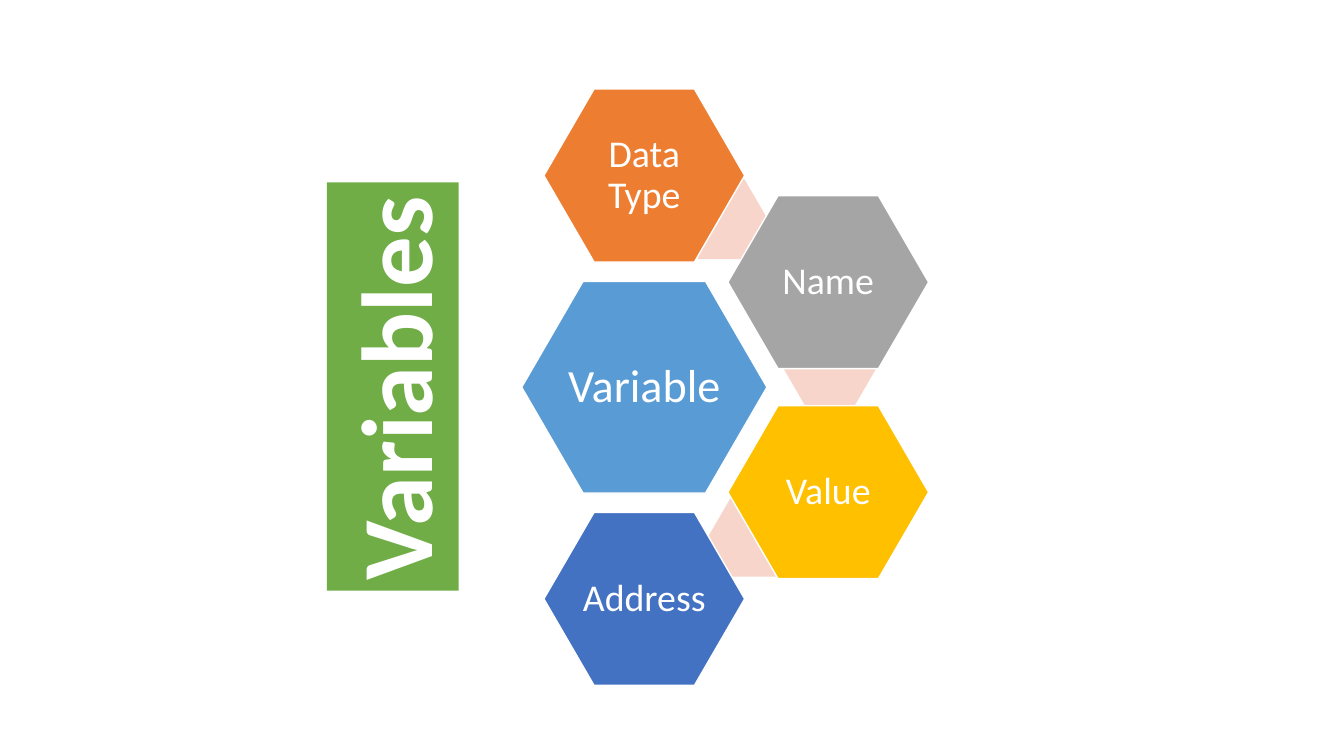
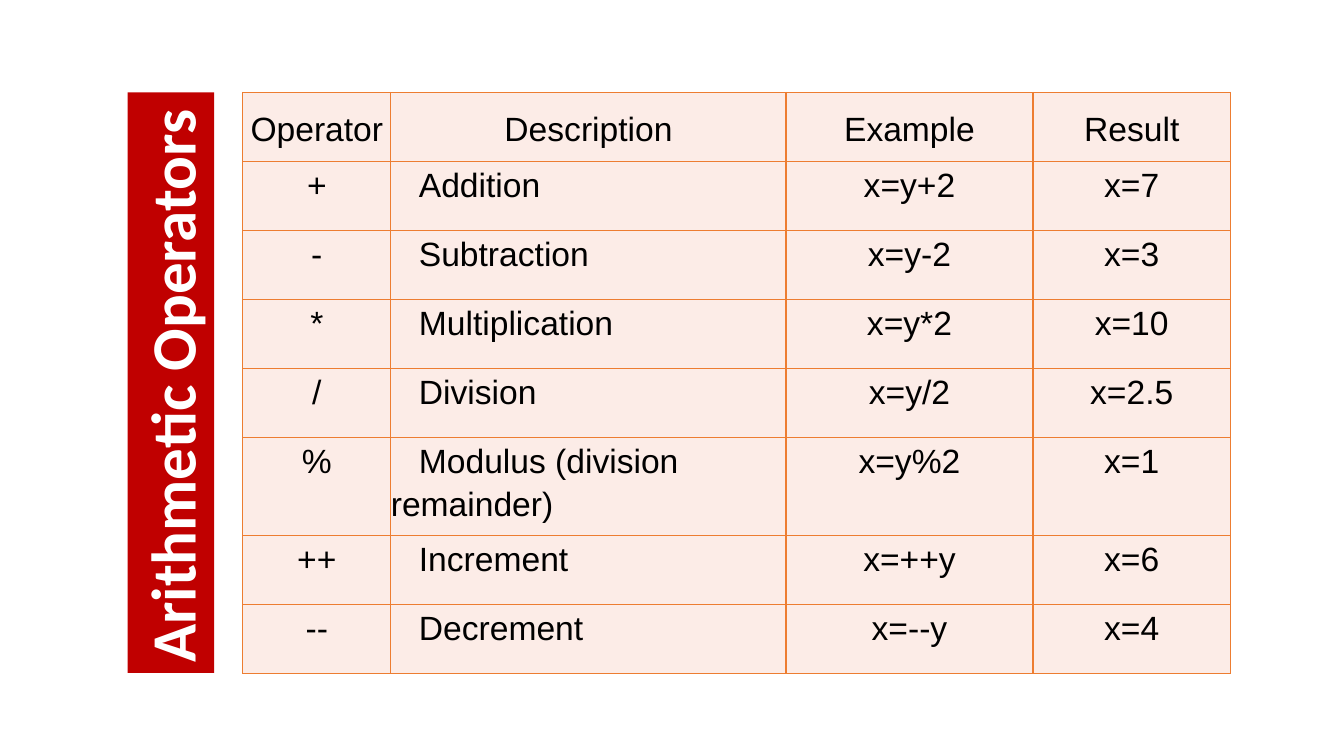
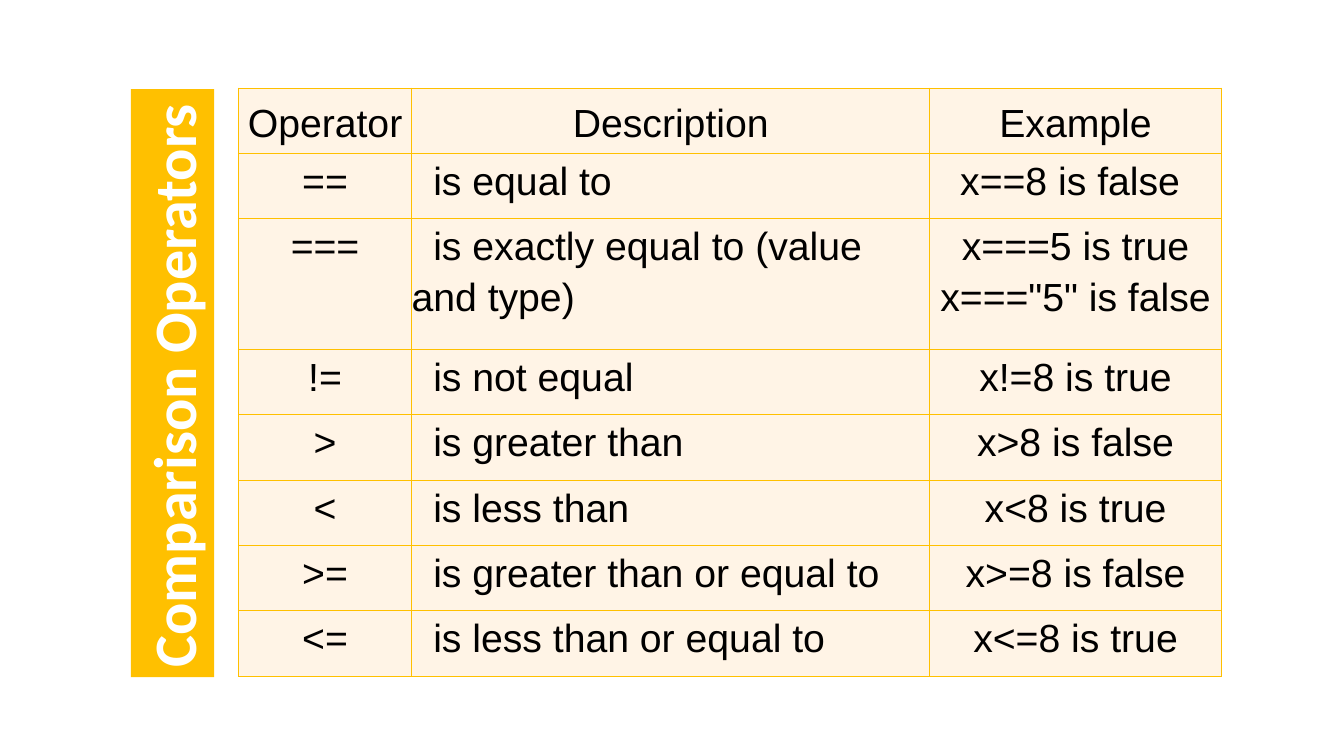
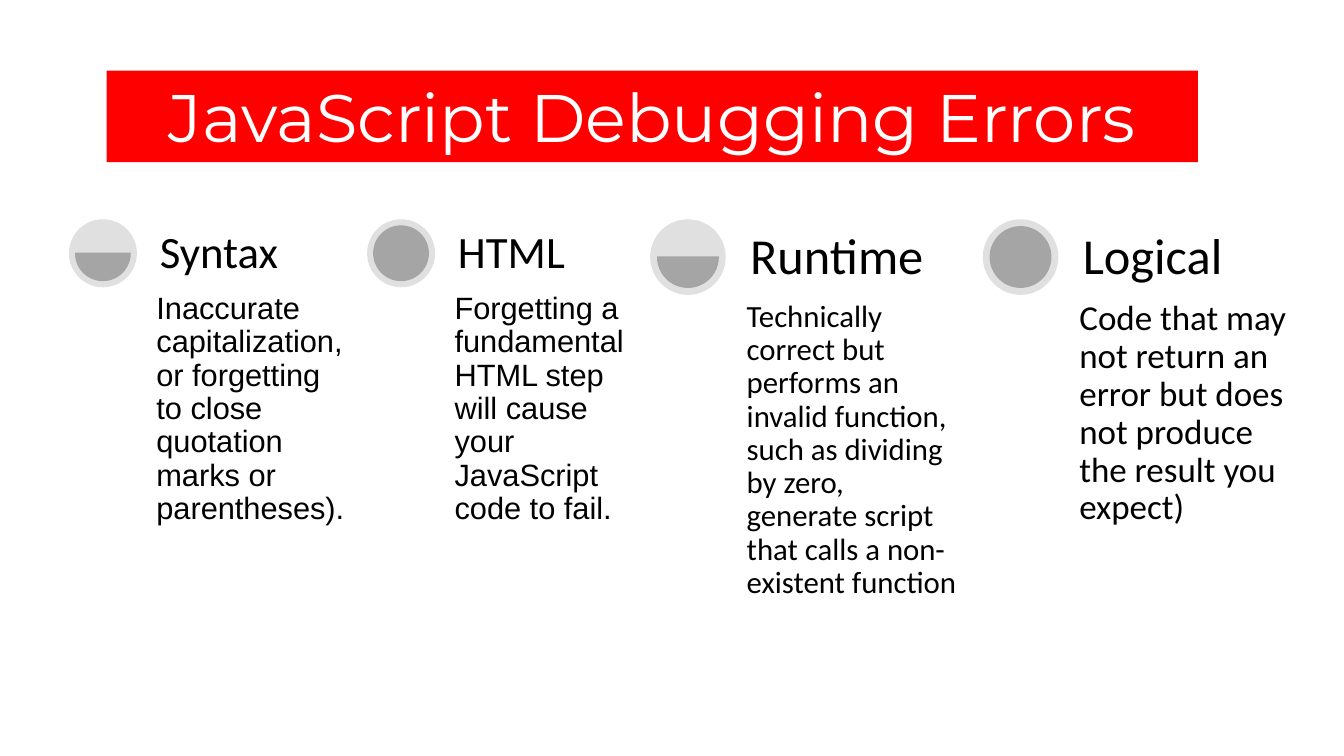
from lxml import etree
from pptx import Presentation
from pptx.dml.color import RGBColor
from pptx.enum.shapes import MSO_SHAPE
from pptx.enum.text import MSO_ANCHOR, PP_ALIGN
from pptx.oxml.ns import qn
from pptx.util import Inches, Pt

RECTANGLE, HEXAGON = MSO_SHAPE.RECTANGLE, MSO_SHAPE.HEXAGON
OVAL, CHORD = MSO_SHAPE.OVAL, MSO_SHAPE.CHORD
TOP, MIDDLE, BOTTOM = MSO_ANCHOR.TOP, MSO_ANCHOR.MIDDLE, MSO_ANCHOR.BOTTOM
LEFT, CENTER = PP_ALIGN.LEFT, PP_ALIGN.CENTER

COLUMNS, ROWS = 160, 90
WHITE, BLACK, GREEN, BLUE = "FFFFFF", "000000", "70AD47", "599BD5"
ORANGE, GRAY, GOLD, NAVY = "ED7D31", "A5A5A5", "FFC000", "4372C3"
PINK, CRIMSON, RED, SILVER = "F7D5CB", "C00000", "FF0000", "E0E0E0"
ROSE, CREAM = "FCECE7", "FFF4E6"
HALF, FULL = (0, 108), (162, 162)


def colour(code):
    """Turn a hex string into a colour."""
    return RGBColor.from_string(code)


class Deck:
    """Holds the style and the current slide, and draws each kind of element."""

    def __init__(self):
        """Start an empty wide deck with a grid of square cells."""
        self.deck = Presentation()
        self.cell = Inches(7.5) / ROWS
        self.deck.slide_width, self.deck.slide_height = self.grid(COLUMNS, ROWS)
        self.page = None

    def grid(self, *lengths):
        """Turn grid lengths into slide lengths."""
        return [round(length * self.cell) for length in lengths]

    def add_page(self):
        """Add a blank slide and make it current."""
        self.page = self.deck.slides.add_slide(self.deck.slide_layouts[6])

    def fill_frame(self, frame, text, size, ink=BLACK, font="Calibri", bold=False,
                   align=LEFT, anchor=TOP, spacing=1.0, inset=(1.2, 0.6)):
        """Fill a text frame with one styled paragraph."""
        across, down = self.grid(*inset)
        layout = {"word_wrap": True, "vertical_anchor": anchor,
                  "margin_left": across, "margin_right": across,
                  "margin_top": down, "margin_bottom": down}
        para = frame.paragraphs[0]
        para.text = text
        formats = [(frame, layout),
                   (para, {"alignment": align, "line_spacing": spacing})]
        for span in para.runs:
            formats.append((span.font, {"name": font, "size": Pt(size), "bold": bold}))
            span.font.color.rgb = colour(ink)
        for target, values in formats:
            for name, value in values.items():
                setattr(target, name, value)
        return para

    def shape(self, kind, box, fill, line=None, adjust=()):
        """Draw a filled preset shape."""
        shape = self.page.shapes.add_shape(kind, *self.grid(*box))
        shape.shadow.inherit = False
        shape.fill.solid()
        shape.fill.fore_color.rgb = colour(fill)
        if line:
            shape.line.color.rgb = colour(line)
            shape.line.width = Pt(1)
        else:
            shape.line.fill.background()
        for index, value in enumerate(adjust):
            shape.adjustments[index] = value
        return shape

    def text(self, box, text, size, **style):
        """Place a plain text box."""
        frame = self.page.shapes.add_textbox(*self.grid(*box)).text_frame
        self.fill_frame(frame, text, size, spacing=0.9, **style)

    def title(self, box, text, size, fill):
        """Draw a horizontal title band."""
        band = self.shape(RECTANGLE, box, fill)
        self.fill_frame(band.text_frame, text, size, WHITE, "Montserrat", align=CENTER)

    def side_title(self, box, text, size, fill):
        """Draw a title band that reads upwards."""
        left, top, width, height = box
        shift = (height - width) / 2
        band = self.shape(RECTANGLE, (left - shift, top + shift, height, width), fill)
        band.rotation = 270
        self.fill_frame(band.text_frame, text, size, WHITE, bold=True)

    def hexagon(self, centre, size, fill, text="", points=27):
        """Draw a hexagon around its centre, with or without a label."""
        box = [middle - length / 2 for middle, length in zip(centre, size)]
        shape = self.shape(HEXAGON, (*box, *size), fill, WHITE if text else None, [0.29])
        if text:
            self.fill_frame(shape.text_frame, text, points, WHITE, align=CENTER,
                            anchor=MIDDLE, spacing=0.9, inset=(0.5, 0.5))

    def border(self, cell, line):
        """Give all four sides of a table cell a thin line."""
        properties = cell._tc.get_or_add_tcPr()
        for side in ("a:lnL", "a:lnR", "a:lnT", "a:lnB"):
            edge = etree.SubElement(properties, qn(side), w=str(Pt(1)))
            solid = etree.SubElement(edge, qn("a:solidFill"))
            etree.SubElement(solid, qn("a:srgbClr"), val=line)

    def table(self, origin, widths, heights, rows, size, indent, fill, line):
        """Draw a table whose second column is left-aligned below its header."""
        box = self.grid(*origin, sum(widths), sum(heights))
        table = self.page.shapes.add_table(len(rows), len(widths), *box).table
        table.first_row = table.horz_banding = False
        for column, width in zip(table.columns, self.grid(*widths)):
            column.width = width
        for row, height in zip(table.rows, self.grid(*heights)):
            row.height = height
        for down, row in enumerate(rows):
            for across, text in enumerate(row):
                cell = table.cell(down, across)
                self.border(cell, line)
                cell.fill.solid()
                cell.fill.fore_color.rgb = colour(fill)
                described = down > 0 and across == 1
                para = self.fill_frame(cell.text_frame, text, size, font="Arial",
                                       align=LEFT if described else CENTER, spacing=1.15)
                cell.vertical_anchor = TOP if down else MIDDLE
                for side in ("left", "right", "top", "bottom"):
                    setattr(cell, f"margin_{side}", 0)
                if described:
                    para._p.get_or_add_pPr().set("indent", str(Pt(indent)))

    def error_kind(self, left, top, dot, sweep, heading, body, sizes, font):
        """Draw a dot with a heading beside it and a description below."""
        inner = 0.8 * dot
        gap = (dot - inner) / 2
        text_left, width = left + 1.2 * dot, 2.96 * dot
        self.shape(OVAL, (left, top, dot, dot), SILVER)
        self.shape(CHORD, (left + gap, top + gap, inner, inner), GRAY, GRAY, sweep)
        self.text((text_left, top + dot, width, 4.2 * dot), body, sizes[1],
                  font=font, inset=(0.7, 0.7))
        self.text((text_left, top, width, dot), heading, sizes[0],
                  anchor=BOTTOM, inset=(1.1, 1.1))


def variables(deck):
    """Build the slide on the parts of a variable."""
    deck.add_page()
    deck.side_title((38.9, 21.7, 15.7, 48.6), "Variables", 72, GREEN)
    near, far, middle = 76.7, 98.6, 46.1
    deck.hexagon((near, middle), (29.2, 25.2), BLUE, "Variable", 33)
    for centre in ((85.9, 26.1), (98.8, 43.9), (89.8, 63.9)):
        deck.hexagon(centre, (11, 9.5), PINK)
    parts = (("Data Type", near, -25.2, ORANGE), ("Name", far, -12.5, GRAY),
             ("Value", far, 12.5, GOLD), ("Address", near, 25.2, NAVY))
    for text, across, offset, fill in parts:
        deck.hexagon((across, middle + offset), (23.9, 20.6), fill, text)


def arithmetic(deck):
    """Build the slide on arithmetic operators."""
    deck.add_page()
    rows = (("Operator", "Description", "Example", "Result"),
            ("+", "Addition", "x=y+2", "x=7"),
            ("-", "Subtraction", "x=y-2", "x=3"),
            ("*", "Multiplication", "x=y*2", "x=10"),
            ("/", "Division", "x=y/2", "x=2.5"),
            ("%", "Modulus (division remainder)", "x=y%2", "x=1"),
            ("++", "Increment", "x=++y", "x=6"),
            ("--", "Decrement", "x=--y", "x=4"))
    widths = [117.6 * share for share in (0.15, 0.4, 0.25, 0.2)]
    heights = [8.22] * 5 + [11.65] + [8.22] * 2
    deck.table((28.9, 11), widths, heights, rows, 24, 20, ROSE, ORANGE)
    deck.side_title((15.2, 11, 10.3, 69.1), "Arithmetic Operators", 45, CRIMSON)


def comparison(deck):
    """Build the slide on comparison operators."""
    deck.add_page()
    deck.side_title((15.6, 10.6, 9.9, 70), "Comparison Operators", 43, GOLD)
    rows = (("Operator", "Description", "Example"),
            ("==", "is equal to", "x==8 is false "),
            ("===", "is exactly equal to (value and type)",
             'x===5 is true\nx==="5" is false'),
            ("!=", "is not equal", "x!=8 is true"),
            (">", "is greater than", "x>8 is false"),
            ("<", "is less than", "x<8 is true"),
            (">=", "is greater than or equal to", "x>=8 is false"),
            ("<=", "is less than or equal to", "x<=8 is true"))
    heights = [7.78] * 2 + [15.56] + [7.78] * 5
    deck.table((28.4, 10.5), (20.6, 61.7, 34.7), heights, rows, 28, 15.5, CREAM, GOLD)


def debugging(deck):
    """Build the slide on kinds of errors."""
    deck.add_page()
    deck.title((12.7, 8.4, 129.9, 10.9), "JavaScript Debugging Errors", 48, RED)
    kinds = (
        (8.2, 8.1, HALF, "Syntax", "Inaccurate capitalization, or forgetting to close "
         "quotation marks or parentheses).", (32, 22), "Arial"),
        (43.7, 8.1, FULL, "HTML", "Forgetting a fundamental HTML step will cause your "
         "JavaScript code to fail.", (32, 22), "Arial"),
        (77.4, 9, HALF, "Runtime", "Technically correct but performs an invalid function, "
         "such as dividing by zero, generate script that calls a non-existent function",
         (36, 22), "Calibri"),
        (117, 9, FULL, "Logical", "Code that may not return an error but does not produce "
         "the result you\nexpect)", (36, 25), "Calibri"))
    for left, *details in kinds:
        deck.error_kind(left, 26.1, *details)


def main():
    """Build and save the deck."""
    deck = Deck()
    for build in (variables, arithmetic, comparison, debugging):
        build(deck)
    deck.deck.save("out.pptx")


if __name__ == "__main__":
    main()
